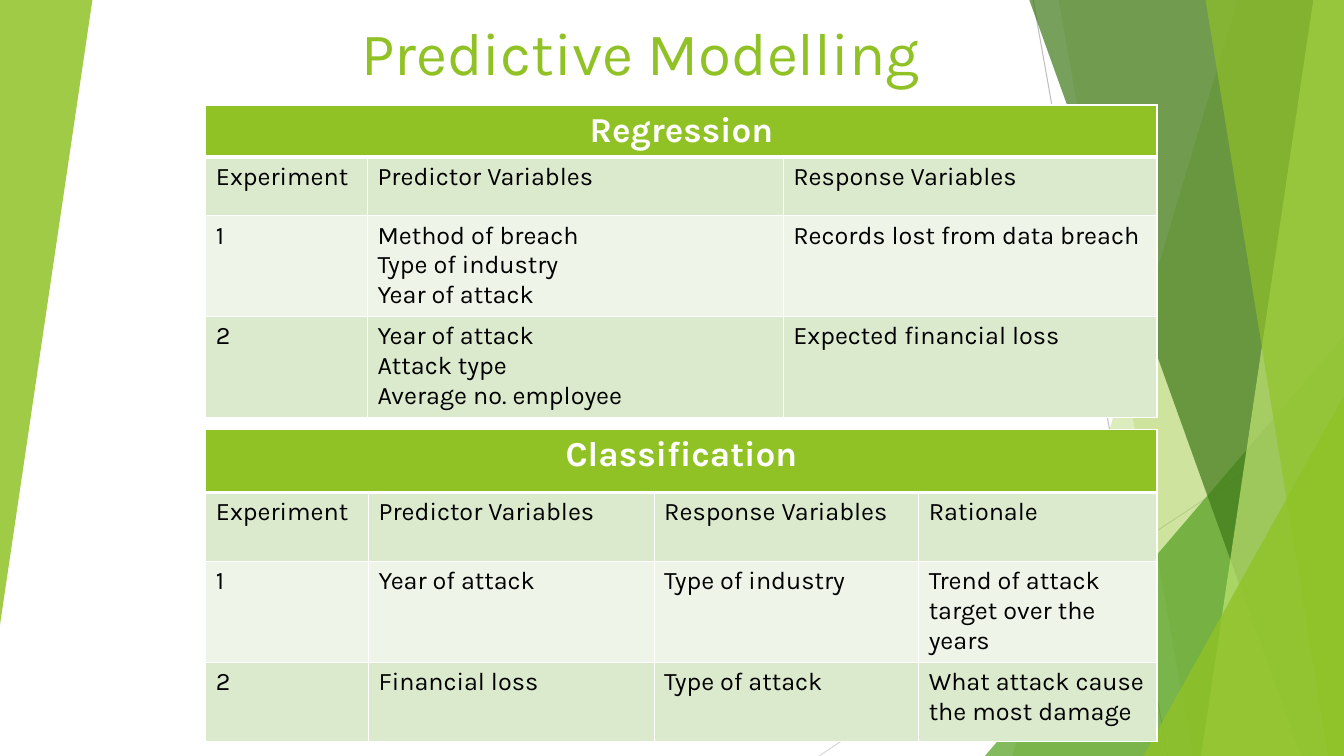
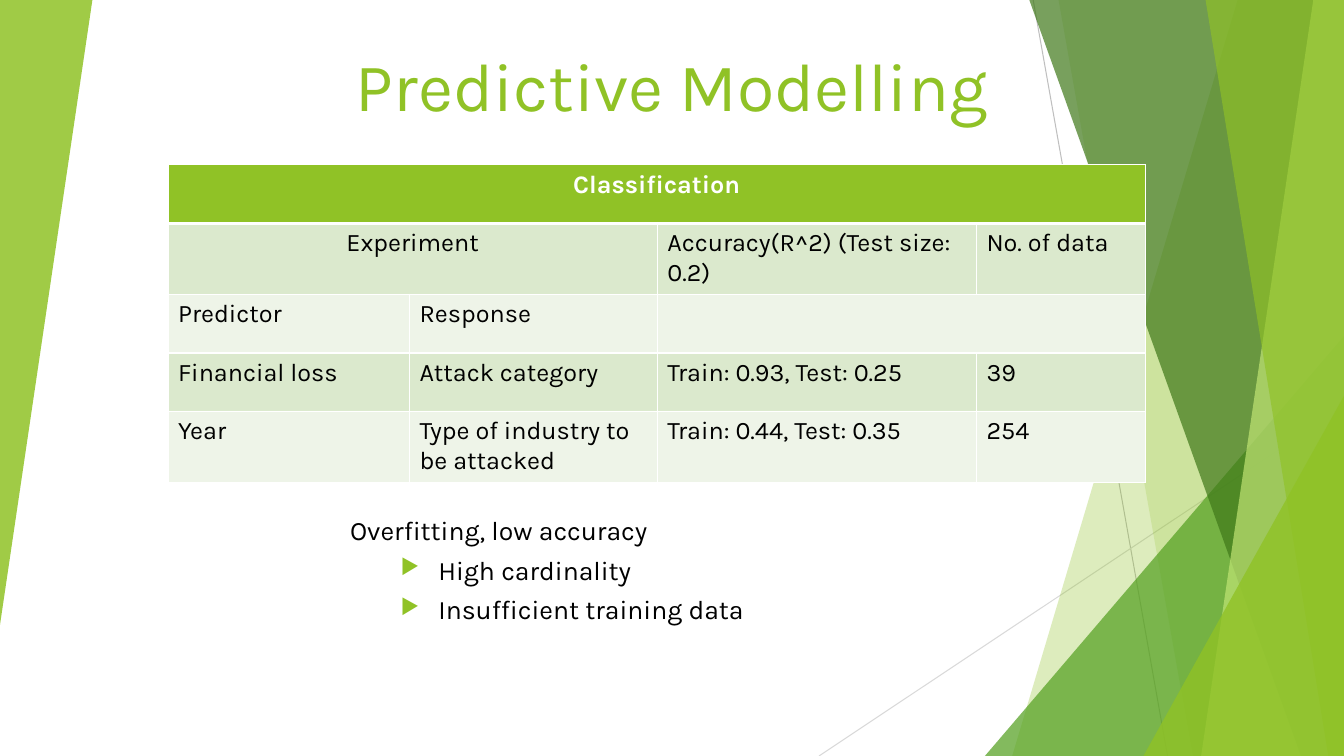
import pptx
import pptx.util
import pptx.dml.color
import pptx.enum.shapes
import pptx.enum.text
import pptx.oxml
import pptx.oxml.ns
import lxml.etree

PX = 9525  # EMU in one px, so a slide is 1280 x 720 px
WIDE, HIGH = 1280, 720
ALIGN = pptx.enum.text.PP_ALIGN
TAG = pptx.oxml.ns.qn


def px(n):
    return pptx.util.Emu(n * PX)


def rgb(code):
    return pptx.dml.color.RGBColor.from_string(code)


def add(node, tag, **attrs):
    return lxml.etree.SubElement(node, TAG(tag), attrs)


class Deck:
    font = "Karla"
    green, leaf, dark, pale = "90C226", "54A021", "3F7819", "C0E474"
    white, black = "FFFFFF", "000000"
    bands = "DBE9CD", "EEF4E8"

    def __init__(self):
        self.prs = pptx.Presentation()
        self.prs.slide_width, self.prs.slide_height = px(WIDE), px(HIGH)
        self.slide = None

    # Slide with its shared backdrop
    def page(self):
        self.slide = self.prs.slides.add_slide(self.prs.slide_layouts[6])
        self.line(984, 0, 1112, HIGH, "BFBFBF")
        self.line(WIDE, 387, 780, HIGH, "D9D9D9")
        self.band(1179, 964, self.green, 30)
        self.band(1008, 1136, self.green, 20)
        self.wedge(938, 320, 342, 400, self.leaf, 72)
        self.band(980, 1239, self.dark, 70)
        self.band(1251, 1144, self.pale, 70)
        self.band(1148, 1265, self.green, 65)
        self.wedge(1089, 377, 191, 343, self.green, 80)
        self.wedge(0, 0, 88, 595, self.green, 85, turn=180)

    def line(self, x1, y1, x2, y2, color):
        kind = pptx.enum.shapes.MSO_CONNECTOR.STRAIGHT
        line = self.slide.shapes.add_connector(kind, px(x1), px(y1), px(x2), px(y2))
        line.line.color.rgb = rgb(color)
        line.line.width = pptx.util.Pt(0.75)
        add(line._element.spPr, "a:effectLst")

    def paint(self, shape, color, alpha):
        shape.shadow.inherit = False
        shape.line.fill.background()
        shape.fill.solid()
        shape.fill.fore_color.rgb = rgb(color)
        tint = shape._element.spPr.find(".//" + TAG("a:srgbClr"))
        add(tint, "a:alpha", val=str(alpha * 1000))

    # Slanted band from its left edge to the right of the slide
    def band(self, top, foot, color, alpha):
        path = self.slide.shapes.build_freeform(top, -1, scale=PX)
        path.add_line_segments([(WIDE, -1), (WIDE, HIGH), (foot, HIGH)], close=True)
        self.paint(path.convert_to_shape(), color, alpha)

    # Right-angled triangle
    def wedge(self, x, y, w, h, color, alpha, turn=0):
        kind = pptx.enum.shapes.MSO_SHAPE.ISOSCELES_TRIANGLE
        shape = self.slide.shapes.add_shape(kind, px(x), px(y), px(w), px(h))
        shape.adjustments[0] = 1
        shape.rotation = turn
        self.paint(shape, color, alpha)

    def run(self, para, text, size, color, bold=False):
        run = para.add_run()
        run.text = text
        run.font.name = self.font
        run.font.size = pptx.util.Pt(size)
        run.font.bold = bold
        run.font.color.rgb = rgb(color)

    def box(self, x, y, w, h):
        frame = self.slide.shapes.add_textbox(px(x), px(y), px(w), px(h)).text_frame
        frame.word_wrap = True
        return frame

    def title(self, text, x, y, w, h, size):
        frame = self.box(x, y, w, h)
        frame.vertical_anchor = pptx.enum.text.MSO_ANCHOR.BOTTOM
        para = frame.paragraphs[0]
        para.alignment = ALIGN.CENTER
        self.run(para, text, size, self.green)

    # Lead line, then bulleted points
    def points(self, x, y, w, h, lead, *items):
        frame = self.box(x, y, w, h)
        frame.auto_size = pptx.enum.text.MSO_AUTO_SIZE.SHAPE_TO_FIT_TEXT
        for i, text in enumerate((lead, *items)):
            para = frame.add_paragraph() if i else frame.paragraphs[0]
            para.line_spacing = 0.8
            para.space_before = pptx.util.Pt(10)
            props = para._p.get_or_add_pPr()
            props.set("marL", str(px(228 if i else 144)))
            props.set("indent", str(px(-36 if i else 0)))
            if i:
                add(add(props, "a:buClr"), "a:srgbClr", val=self.green)
                add(props, "a:buSzPct", val="80000")
                add(props, "a:buChar", char="▶")
            self.run(para, text, 19, self.black)

    # White cell borders, thick below the head row
    def edges(self, cell, row):
        props = cell._tc.get_or_add_tcPr()
        thick = {"T": row == 1, "B": row == 0}
        for i, side in enumerate("LRTB"):
            width = 3 if thick.get(side) else 1
            edge = lxml.etree.Element(TAG("a:ln" + side), w=str(pptx.util.Pt(width)))
            add(add(edge, "a:solidFill"), "a:srgbClr", val=self.white)
            props.insert(i, edge)

    # None in a row joins that cell to the one on its left
    def table(self, x, y, cols, highs, rows, head=25):
        frame = self.slide.shapes.add_table(
            len(rows), len(cols), px(x), px(y), px(sum(cols)), px(sum(highs)))
        grid = frame.table
        for col, wide in zip(grid.columns, cols):
            col.width = px(wide)
        for r, (texts, high) in enumerate(zip(rows, highs)):
            grid.rows[r].height = px(high)
            for c, text in enumerate(texts):
                cell = grid.cell(r, c)
                cell.fill.solid()
                cell.fill.fore_color.rgb = rgb(self.bands[(r - 1) % 2] if r else self.green)
                self.edges(cell, r)
                if text is None:
                    continue
                last = c
                while last + 1 < len(texts) and texts[last + 1] is None:
                    last += 1
                if last > c:
                    cell.merge(grid.cell(r, last))
                if text:
                    self.fill(cell, text, r == 0, last > c, head)

    def fill(self, cell, text, top, joined, head):
        for i, part in enumerate(text.split("\n")):
            frame = cell.text_frame
            para = frame.add_paragraph() if i else frame.paragraphs[0]
            para.alignment = ALIGN.CENTER if joined else ALIGN.LEFT
            self.run(para, part, head if top else 18,
                     self.white if top else self.black, top)


def main():
    deck = Deck()
    name = "Predictive Modelling"

    # Slide 1: experiments
    deck.page()
    deck.title(name, 139, 21, 942, 67, 43)
    deck.table(196, 100, [154, 396, 356], [45, 56, 87, 87], [
        ["Regression", None, None],
        ["Experiment", "Predictor Variables", "Response Variables"],
        ["1", "Method of breach\nType of industry\nYear of attack",
         "Records lost from data breach"],
        ["2", "Year of attack\nAttack type\nAverage no. employee",
         "Expected financial loss"],
    ])
    deck.table(196, 409, [155, 272, 252, 227], [60, 66, 76, 75], [
        ["Classification", None, None, None],
        ["Experiment", "Predictor Variables", "Response Variables", "Rationale"],
        ["1", "Year of attack", "Type of industry",
         "Trend of attack target over the years"],
        ["2", "Financial loss", "Type of attack",
         "What attack cause the most damage"],
    ])

    # Slide 2: results
    deck.page()
    deck.title(name, 160, 34, 960, 90, 48.6)
    deck.table(160, 157, [230, 236, 304, 161], [56] * 5, [
        ["Classification", None, None, None],
        ["Experiment", None, "Accuracy(R^2) (Test size: 0.2)", "No. of data"],
        ["Predictor", "Response", "", None],
        ["Financial loss", "Attack category", "Train: 0.93, Test: 0.25", "39"],
        ["Year", "Type of industry to be attacked", "Train: 0.44, Test: 0.35", "254"],
    ], head=18)
    deck.points(180, 491, 660, 110, "Overfitting, low accuracy",
                "High cardinality", "Insufficient training data")

    deck.prs.save("out.pptx")


if __name__ == "__main__":
    main()
